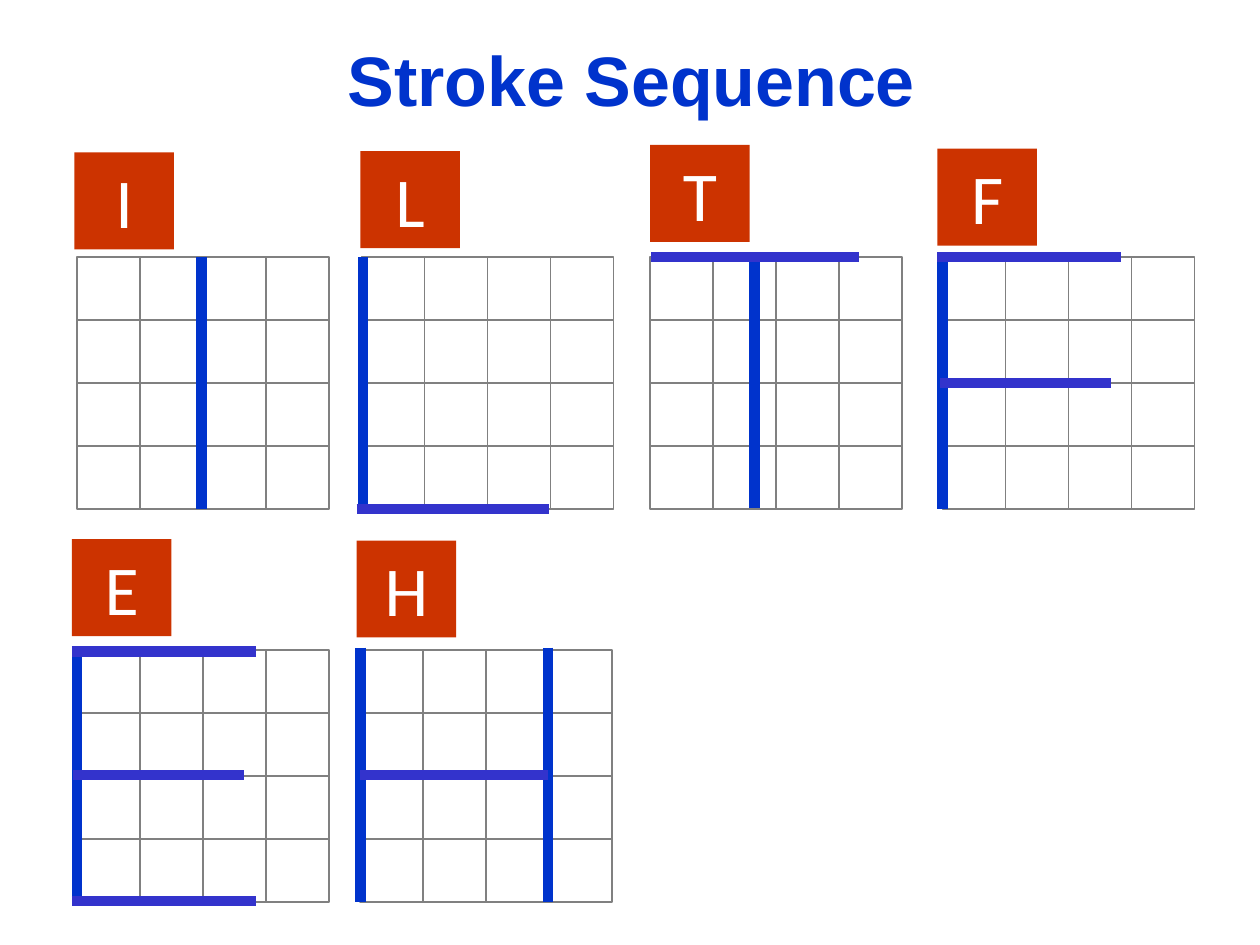
"""Build a slide that shows the stroke sequence of six capital letters."""
from typing import NamedTuple

from lxml.etree import SubElement
from pptx import Presentation
from pptx.dml.color import RGBColor
from pptx.enum.shapes import MSO_CONNECTOR, MSO_SHAPE
from pptx.enum.text import MSO_ANCHOR, MSO_AUTO_SIZE, PP_ALIGN
from pptx.oxml.ns import qn
from pptx.shapes.autoshape import Shape
from pptx.shapes.connector import Connector
from pptx.shapes.shapetree import GroupShapes, SlideShapes
from pptx.util import Emu, Pt

EMU_PER_PX = 9144
CELL = 50
CELLS = 4
GRID = CELL * CELLS
TILE_WIDTH, TILE_HEIGHT = 79, 77
ROW_1, ROW_2 = 204, 516

BLUE = RGBColor(0x00, 0x33, 0xCC)
VIOLET = RGBColor(0x33, 0x33, 0xCC)
RED = RGBColor(0xCC, 0x33, 0x00)
GRAY = RGBColor(0x80, 0x80, 0x80)
WHITE = RGBColor(0xFF, 0xFF, 0xFF)


class Point(NamedTuple):
    """A position in px."""

    x: int
    y: int


class Stroke(NamedTuple):
    """A straight pen stroke, measured from the corner of its grid."""

    start: Point
    end: Point
    color: RGBColor


class Letter(NamedTuple):
    """A letter with its tile, its grid and its strokes in writing order."""

    name: str
    tile: Point
    grid: Point
    strokes: list[Stroke]


def px(length: int) -> Emu:
    """Turn px into EMU."""
    return Emu(length * EMU_PER_PX)


def down(x: int, top: int, bottom: int) -> Stroke:
    """Return a vertical stroke."""
    return Stroke(Point(x, top), Point(x, bottom), BLUE)


def across(y: int, left: int, right: int) -> Stroke:
    """Return a horizontal stroke."""
    return Stroke(Point(left, y), Point(right, y), VIOLET)


LETTERS = [
    Letter("I", Point(59, 121), Point(61, ROW_1), [down(99, 0, 200)]),
    Letter("L", Point(286, 120), Point(287, ROW_1),
           [down(1, 0, 199), across(200, -4, 149)]),
    Letter("T", Point(516, 115), Point(516, ROW_1),
           [down(83, -3, 199), across(0, 1, 166)]),
    Letter("F", Point(744, 118), Point(748, ROW_1),
           [down(0, -3, 200), across(0, -4, 142), across(100, -2, 134)]),
    Letter("E", Point(57, 428), Point(61, ROW_2),
           [down(0, 0, 200), across(1, -4, 142), across(199, -4, 142),
            across(99, -3, 133)]),
    Letter("H", Point(283, 429), Point(286, ROW_2),
           [down(0, -2, 200), down(149, -2, 200), across(99, 0, 149)]),
]


def write(shape: Shape, text: str, *, font: str, color: RGBColor,
          bold: bool = False, anchor: MSO_ANCHOR = MSO_ANCHOR.TOP,
          auto_size: MSO_AUTO_SIZE = MSO_AUTO_SIZE.NONE) -> None:
    """Put one centred 40 pt line of text into a shape."""
    frame = shape.text_frame
    frame.word_wrap = True
    frame.auto_size = auto_size
    frame.vertical_anchor = anchor
    paragraph = frame.paragraphs[0]
    paragraph.alignment = PP_ALIGN.CENTER
    run = paragraph.add_run()
    run.text = text
    run.font.name = font
    run.font.size = Pt(40)
    run.font.bold = bold
    run.font.color.rgb = color


def draw_line(shapes: SlideShapes | GroupShapes, start: Point, end: Point,
              color: RGBColor, width: int) -> Connector:
    """Draw a straight line without shadow."""
    line = shapes.add_connector(MSO_CONNECTOR.STRAIGHT, px(start.x),
                                px(start.y), px(end.x), px(end.y))
    line.line.color.rgb = color
    line.line.width = Pt(width)
    SubElement(line._element.spPr, qn("a:effectLst"))
    return line


def draw_tile(shapes: SlideShapes, name: str, corner: Point) -> None:
    """Draw the red tile that names a letter."""
    tile = shapes.add_shape(MSO_SHAPE.RECTANGLE, px(corner.x), px(corner.y),
                            px(TILE_WIDTH), px(TILE_HEIGHT))
    tile.shadow.inherit = False
    tile.fill.solid()
    tile.fill.fore_color.rgb = RED
    tile.line.fill.background()
    write(tile, name, font="Calibri", color=WHITE,
          auto_size=MSO_AUTO_SIZE.SHAPE_TO_FIT_TEXT)


def draw_grid(shapes: SlideShapes, corner: Point) -> None:
    """Draw a grouped square grid whose middle lines join its frame."""
    group = shapes.add_group_shape().shapes
    frame = group.add_shape(MSO_SHAPE.RECTANGLE, px(corner.x), px(corner.y),
                            px(GRID), px(GRID))
    frame.shadow.inherit = False
    frame.fill.background()
    frame.line.color.rgb = GRAY
    frame.line.width = Pt(1)
    left, top = corner
    right, bottom = left + GRID, top + GRID
    for index in range(1, CELLS):
        x, y = left + index * CELL, top + index * CELL
        vertical = draw_line(group, Point(x, top), Point(x, bottom), GRAY, 1)
        horizontal = draw_line(group, Point(left, y), Point(right, y), GRAY, 1)
        if index * 2 == CELLS:
            vertical.begin_connect(frame, 0)
            vertical.end_connect(frame, 2)
            horizontal.begin_connect(frame, 1)
            horizontal.end_connect(frame, 3)


def draw_letter(shapes: SlideShapes, letter: Letter) -> None:
    """Draw the tile, grid and strokes of a letter."""
    draw_tile(shapes, letter.name, letter.tile)
    draw_grid(shapes, letter.grid)
    left, top = letter.grid
    for start, end, color in letter.strokes:
        draw_line(shapes, Point(left + start.x, top + start.y),
                  Point(left + end.x, top + end.y), color, 6)


def main() -> None:
    """Build and save the presentation."""
    presentation = Presentation()
    presentation.slide_width = px(1000)
    presentation.slide_height = px(750)
    slide = presentation.slides.add_slide(presentation.slide_layouts[6])
    title = slide.shapes.add_textbox(px(76), px(0), px(850), px(125))
    write(title, "Stroke Sequence", font="Arial", color=BLUE, bold=True,
          anchor=MSO_ANCHOR.MIDDLE)
    for letter in LETTERS:
        draw_letter(slide.shapes, letter)
    presentation.save("out.pptx")


if __name__ == "__main__":
    main()
